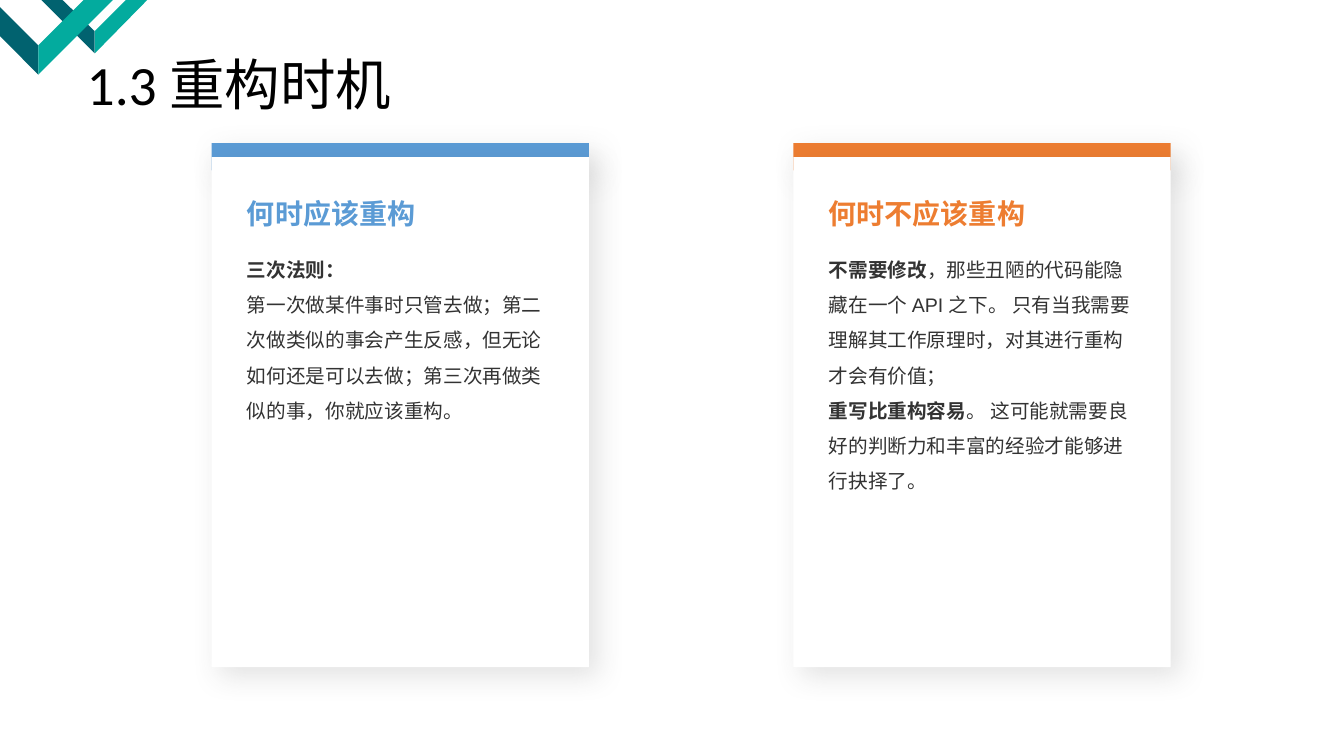
from lxml import etree
from pptx import Presentation
from pptx import util as u
from pptx.dml.color import RGBColor
from pptx.enum import shapes, text
from pptx.oxml.ns import qn

CARDS = [
    (2.1, "5B9BD5", "何时应该重构", [
        [("三次法则：", True)],
        [("第一次做某件事时只管去做；第二次做类似的事会产生反感，但无论如何还是可以去做；"
          "第三次再做类似的事，你就应该重构。", False)],
    ]),
    (7.87, "ED7D31", "何时不应该重构", [
        [("不需要修改", True),
         ("，那些丑陋的代码能隐藏在一个 API 之下。 只有当我需要理解其工作原理时，"
          "对其进行重构才会有价值；", False)],
        [("重写比重构容易", True),
         ("。 这可能就需要良好的判断力和丰富的经验才能够进行抉择了。", False)],
    ]),
]

RIBBONS = [
    ("01626F", [(0.62, 0), (0.41, 0), (0.94, 0.53), (0.94, 0.31)]),
    ("03AB9E", [(1.46, 0), (1.25, 0), (0.94, 0.31), (0.94, 0.53)]),
    ("01626F", [(0, 0.07), (0, 0.36), (0.38, 0.74), (0.38, 0.45)]),
    ("03AB9E", [(1.12, 0), (0.83, 0), (0.38, 0.45), (0.38, 0.74)]),
]


def color(value):
    return RGBColor.from_string(value)


def paint(shape, fill):
    shape.shadow.inherit = False
    shape.fill.solid()
    shape.fill.fore_color.rgb = color(fill)
    shape.line.fill.background()


def set_font(font, name, size, value):
    font.name = name
    font.size = u.Pt(size)
    font.color.rgb = color(value)


def add_shadow(shape, value, opacity):
    effects = shape._element.spPr.find(qn("a:effectLst"))
    shadow = etree.SubElement(effects, qn("a:outerShdw"), blurRad=str(u.Pt(20)),
                              dist=str(u.Pt(8)), dir=str(45 * 60000),
                              algn="tl", rotWithShape="0")
    tint = etree.SubElement(shadow, qn("a:srgbClr"), val=value)
    etree.SubElement(tint, qn("a:alpha"), val=str(opacity * 1000))


def add_panel(slide, left, top, width, height, fill, shadow, opacity):
    panel = slide.shapes.add_shape(shapes.MSO_SHAPE.RECTANGLE, u.Inches(left),
                                   u.Inches(top), u.Inches(width), u.Inches(height))
    paint(panel, fill)
    add_shadow(panel, shadow, opacity)


def add_text_frame(slide, left, top, width, height, anchor):
    box = slide.shapes.add_textbox(u.Inches(left), u.Inches(top),
                                   u.Inches(width), u.Inches(height))
    frame = box.text_frame
    frame.word_wrap = True
    frame.vertical_anchor = anchor
    frame.margin_left = frame.margin_right = frame.margin_top = frame.margin_bottom = 0
    return frame


def add_title(slide, left, top, width, height):
    title = slide.shapes.title
    title.left, title.top = u.Inches(left), u.Inches(top)
    title.width, title.height = u.Inches(width), u.Inches(height)
    frame = title.text_frame
    frame.text = "1.3 重构时机"
    frame.auto_size = text.MSO_AUTO_SIZE.NONE
    frame.vertical_anchor = text.MSO_ANCHOR.MIDDLE
    paragraph = frame.paragraphs[0]
    paragraph.alignment = text.PP_ALIGN.LEFT
    paragraph.line_spacing = 0.9
    set_font(paragraph.font, "Calibri", 39.6, "000000")


def add_card(slide, left, top, width, height, accent, heading, body):
    add_panel(slide, left, top, width, 0.27, accent, "BFBFBF", 40)
    add_panel(slide, left, top + 0.14, width, height - 0.14, "FFFFFF", "404040", 15)
    inner_left, inner_width = left + 0.35, width - 0.7

    frame = add_text_frame(slide, inner_left, top + 1.02, inner_width, 3.84,
                           text.MSO_ANCHOR.TOP)
    for index, runs in enumerate(body):
        paragraph = frame.add_paragraph() if index else frame.paragraphs[0]
        paragraph.line_spacing = 1.5
        set_font(paragraph.font, "Arial", 14, "333333")
        for words, bold in runs:
            run = paragraph.add_run()
            run.text = words
            run.font.bold = bold

    frame = add_text_frame(slide, inner_left, top + 0.41, inner_width, 0.45,
                           text.MSO_ANCHOR.BOTTOM)
    frame.text = heading
    paragraph = frame.paragraphs[0]
    set_font(paragraph.font, "Arial", 20, accent)
    paragraph.font.bold = True


def add_corner(slide, left, top):
    for fill, outline in RIBBONS:
        points = [(u.Inches(left + x), u.Inches(top + y)) for x, y in outline]
        builder = slide.shapes.build_freeform(*points[0])
        builder.add_line_segments(points[1:], close=True)
        paint(builder.convert_to_shape(), fill)


def main():
    presentation = Presentation()
    presentation.slide_width = u.Inches(13.33)
    presentation.slide_height = u.Inches(7.5)
    slide = presentation.slides.add_slide(presentation.slide_layouts.get_by_name("Title Only"))
    add_title(slide, 0.76, 0.43, 11.81, 0.87)
    for left, accent, heading, body in CARDS:
        add_card(slide, left, 1.42, 3.74, 5.2, accent, heading, body)
    add_corner(slide, 0, 0)
    presentation.save("out.pptx")


if __name__ == "__main__":
    main()
